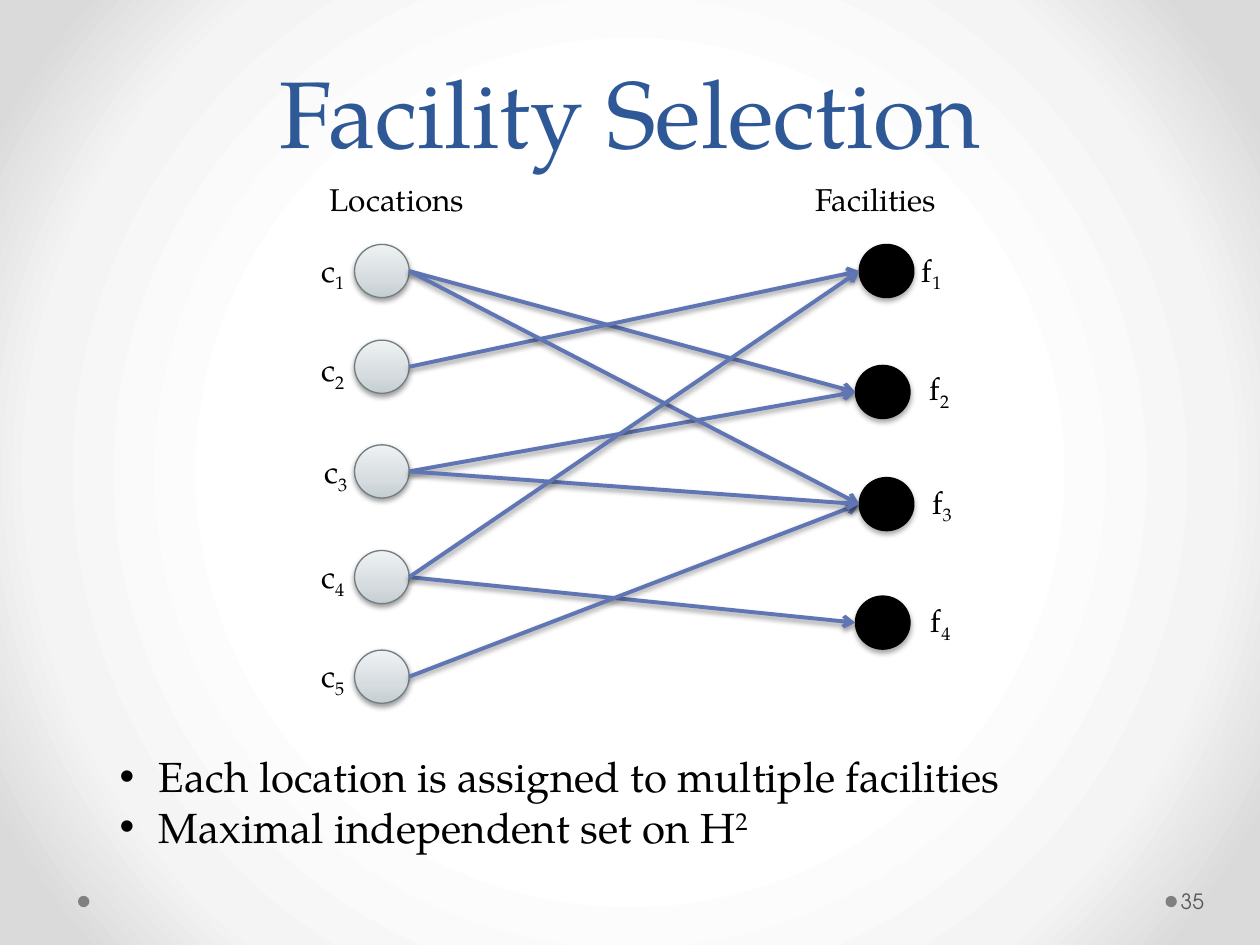
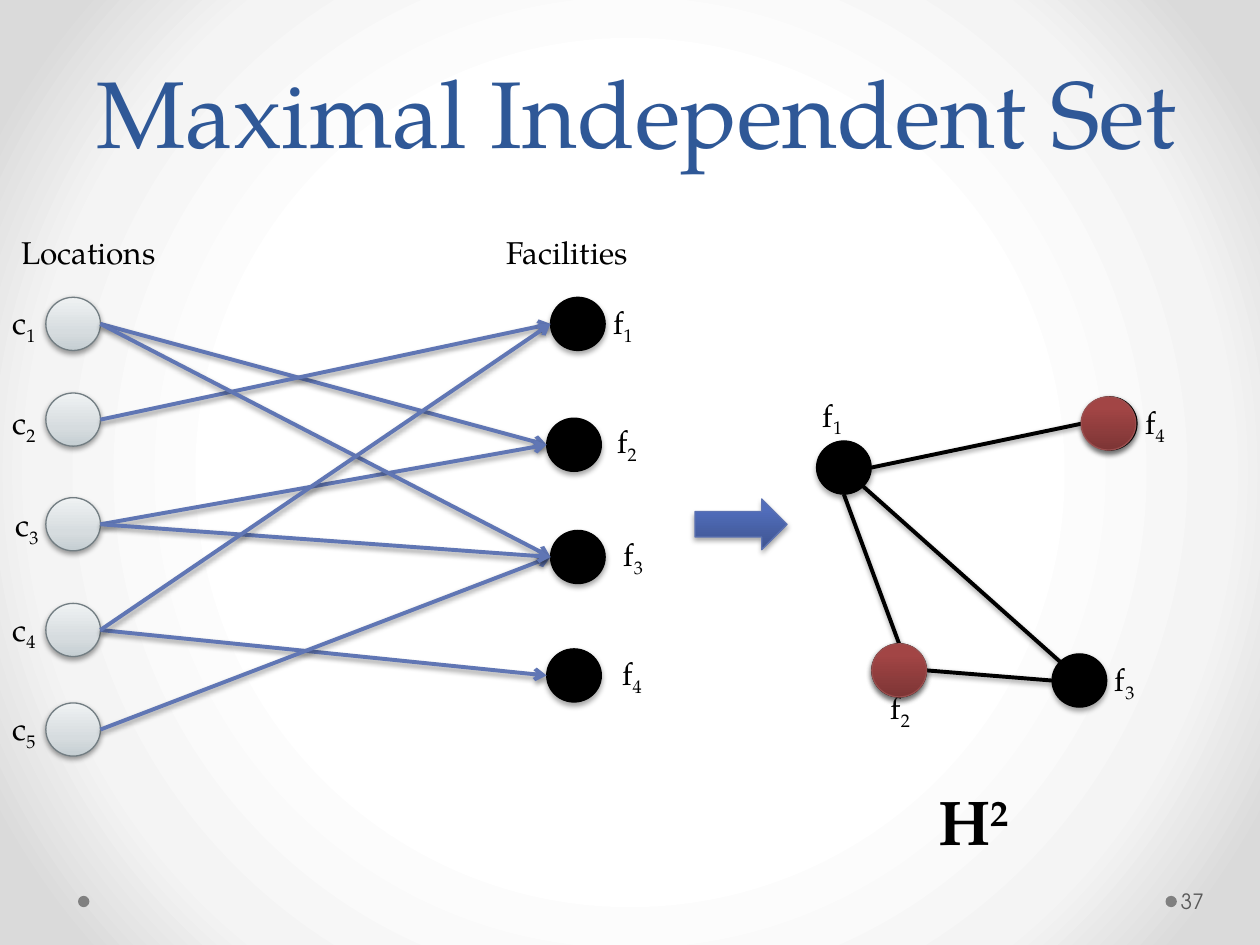
from lxml import etree
from pptx import Presentation
from pptx.dml.color import RGBColor
from pptx.enum.shapes import MSO_CONNECTOR, MSO_SHAPE
from pptx.enum.text import MSO_ANCHOR, PP_ALIGN
from pptx.oxml.ns import qn
from pptx.util import Pt

OVAL, RIGHT_ARROW = MSO_SHAPE.OVAL, MSO_SHAPE.RIGHT_ARROW
STRAIGHT = MSO_CONNECTOR.STRAIGHT
TOP, MIDDLE, BOTTOM = MSO_ANCHOR.TOP, MSO_ANCHOR.MIDDLE, MSO_ANCHOR.BOTTOM
LEFT_ALIGN, CENTER = PP_ALIGN.LEFT, PP_ALIGN.CENTER

SERIF, SANS = "TeX Gyre Pagella", "TeX Gyre Adventor"
COLORS = {"title": "2F5897", "ink": "000000", "page": "595959", "dot": "808080",
          "assignment": "6076B4", "location_line": "727D82",
          "chosen_line": "9A4E4E", "arrow_line": "5C72B2"}
GRADIENTS = {
    "backdrop": [(50, "FFFFFF"), (76, "F4F4F4"), (92, "DADADA")],
    "location": [(0, "C5CED2"), (35, "D6DCDF"), (100, "EFF2F3")],
    "chosen": [(0, "7D3535"), (80, "A24545"), (100, "A44343")],
    "arrow": [(0, "3E5490"), (80, "516DBB"), (100, "4F6CBE")],
}
SOFT_SHADOW, DEEP_SHADOW = (38, 1.6), (35, 1.8)

NODE_W, NODE_H = 31.2, 30.4
LABEL_W, LABEL_H = 38.9, 28.8
SUB, SUPER = -25, 30
SIDES = {"top": (0.5, 0), "left": (0, 0.5), "bottom": (0.5, 1), "right": (1, 0.5),
         "upper left": (0.146, 0.146), "lower right": (0.854, 0.854)}

HEADINGS = [("Locations", 181.4, 99.4), ("Facilities", 458.8, 99.4)]
LOCATIONS = {"c1": (202.6, 139.7), "c2": (202.6, 194.4), "c3": (202.6, 254.2),
             "c4": (202.6, 314.6), "c5": (202.6, 371.5)}
FACILITIES = {"f1": (491, 139.7), "f2": (488.8, 208.8), "f3": (491, 272.9),
              "f4": (488.8, 340.6)}
LABELS = {"c1": (176.4, 139.7), "c2": (176.4, 196.6), "c3": (178.2, 254.9),
          "c4": (176.4, 314.6), "c5": (176.4, 371.5),
          "f1": (519.8, 139.7), "f2": (524.2, 207.4), "f3": (525.6, 272.2),
          "f4": (524.9, 339.8)}
ASSIGNMENTS = [("c1", "f2"), ("c3", "f2"), ("c4", "f4"), ("c2", "f1"),
               ("c5", "f3"), ("c1", "f3"), ("c3", "f3"), ("c4", "f1")]

TAKEAWAYS = [[("Each location is assigned to multiple facilities", 0)],
             [("Maximal independent set on H", 0), ("2", SUPER)]]

SQUARE_GRAPH = {"f1": (466.6, 252), "f2": (498.2, 367.9), "f3": (601.2, 373.7),
                "f4": (618.5, 226.8)}
SQUARE_LABELS = {"f1": (463, 222.5), "f2": (501.8, 389.5), "f3": (630, 373.7),
                 "f4": (647.3, 226.8)}
SQUARE_EDGES = [("f1", "right", "f4", "left"), ("f1", "lower right", "f3", "upper left"),
                ("f1", "bottom", "f2", "top"), ("f2", "right", "f3", "left")]
INDEPENDENT_SET = [(617.8, 226.8), (498.2, 367.9)]


def rgb(name):
    return RGBColor.from_string(COLORS[name])


def child(parent, tag, **attributes):
    node = etree.SubElement(parent, qn(tag))
    for key, value in attributes.items():
        node.set(key, str(value))
    return node


def blend(owner, fill, name, radial=False):
    fill.gradient()
    gradient = owner.element.find(".//" + qn("a:gradFill"))
    gradient.clear()
    stops = child(gradient, "a:gsLst")
    for position, color in GRADIENTS[name]:
        child(child(stops, "a:gs", pos=position * 1000), "a:srgbClr", val=color)
    if radial:
        circle = child(gradient, "a:path", path="circle")
        child(circle, "a:fillToRect", l=50000, t=50000, r=50000, b=50000)
    else:
        child(gradient, "a:lin", ang=270 * 60000, scaled=0)


def cast_shadow(effects, shadow):
    opacity, distance = shadow
    outer = child(effects, "a:outerShdw", blurRad=Pt(3.1), dist=Pt(distance),
                  dir=90 * 60000, rotWithShape=0)
    child(child(outer, "a:srgbClr", val="000000"), "a:alpha", val=opacity * 1000)


def add_figure(slide, kind, box, fill, line=None, shadow=None):
    figure = slide.shapes.add_shape(kind, *map(Pt, box))
    if fill in GRADIENTS:
        blend(figure, figure.fill, fill)
    else:
        figure.fill.solid()
        figure.fill.fore_color.rgb = rgb(fill)
    if line:
        figure.line.color.rgb = rgb(line)
        figure.line.width = Pt(0.75)
    else:
        figure.line.fill.background()
    figure.shadow.inherit = False
    if shadow:
        cast_shadow(figure.element.spPr.find(qn("a:effectLst")), shadow)


def add_node(slide, spot, fill, line, shadow=DEEP_SHADOW):
    add_figure(slide, OVAL, (*spot, NODE_W, NODE_H), fill, line, shadow)


def add_edge(slide, start, end, color, arrow=False):
    edge = slide.shapes.add_connector(STRAIGHT, *map(Pt, (*start, *end)))
    edge.line.color.rgb = rgb(color)
    edge.line.width = Pt(2.25)
    outline = edge.element.spPr
    if arrow:
        child(outline.find(qn("a:ln")), "a:tailEnd", type="arrow")
    cast_shadow(child(outline, "a:effectLst"), SOFT_SHADOW)


def add_text(slide, box, paragraphs, size=18, color="ink", font=SERIF, bold=False,
             align=LEFT_ALIGN, anchor=TOP, leading=None, bullet=False, inset=7.2):
    frame = slide.shapes.add_textbox(*map(Pt, box)).text_frame
    frame.word_wrap = True
    frame.vertical_anchor = anchor
    frame.margin_left = Pt(inset)
    for index, runs in enumerate(paragraphs):
        paragraph = frame.add_paragraph() if index else frame.paragraphs[0]
        paragraph.alignment = align
        if leading:
            paragraph.line_spacing = Pt(leading)
        if bullet:
            properties = paragraph._p.get_or_add_pPr()
            properties.set("marL", str(Pt(22.5)))
            properties.set("indent", str(Pt(-22.5)))
            child(properties, "a:buFont", typeface="Arial")
            child(properties, "a:buChar", char="•")
        for text, baseline in runs:
            run = paragraph.add_run()
            run.text = text
            run.font.name, run.font.size, run.font.bold = font, Pt(size), bold
            run.font.color.rgb = rgb(color)
            if baseline:
                run._r.get_or_add_rPr().set("baseline", str(baseline * 1000))


def add_label(slide, name, spot):
    add_text(slide, (*spot, LABEL_W, LABEL_H), [[(name[0], 0), (name[1], SUB)]])


def side_point(spot, side):
    across, down = SIDES[side]
    return spot[0] + across * NODE_W, spot[1] + down * NODE_H


def start_slide(deck, title, page, title_left):
    slide = deck.slides.add_slide(deck.slide_layouts[6])
    for dot_left in (666, 44.6):
        add_figure(slide, OVAL, (dot_left, 511.9, 6.5, 6.5), "dot")
    add_text(slide, (title_left, 9.4, 648, 90), [[(title, 0)]], size=54, color="title",
             align=CENTER, anchor=BOTTOM, leading=58)
    add_text(slide, (672.5, 500.4, 43.9, 28.8), [[(page, 0)]], size=12, color="page",
             font=SANS, anchor=MIDDLE, inset=2.2)
    return slide


def add_assignment_graph(slide, dx=0, dy=0, moved_labels=None):
    def moved(spot):
        return spot[0] + dx, spot[1] + dy

    for heading, left, top in HEADINGS:
        add_text(slide, (*moved((left, top)), 105, 28.8), [[(heading, 0)]])
    for spot in LOCATIONS.values():
        add_node(slide, moved(spot), "location", "location_line", SOFT_SHADOW)
    for spot in FACILITIES.values():
        add_node(slide, moved(spot), "ink", "ink")
    for location, facility in ASSIGNMENTS:
        add_edge(slide, side_point(moved(LOCATIONS[location]), "right"),
                 side_point(moved(FACILITIES[facility]), "left"), "assignment", arrow=True)
    for name, spot in {**LABELS, **(moved_labels or {})}.items():
        add_label(slide, name, moved(spot))


def add_square_graph(slide):
    for name, spot in SQUARE_GRAPH.items():
        add_node(slide, spot, "ink", "ink")
        add_label(slide, name, SQUARE_LABELS[name])
    for first, first_side, second, second_side in SQUARE_EDGES:
        add_edge(slide, side_point(SQUARE_GRAPH[first], first_side),
                 side_point(SQUARE_GRAPH[second], second_side), "ink")
    for spot in INDEPENDENT_SET:
        add_node(slide, spot, "chosen", "chosen_line")
    add_text(slide, (529.2, 443.5, 118, 51), [[("H", 0), ("2", SUPER)]], size=36, bold=True)


def main():
    deck = Presentation()
    deck.slide_width, deck.slide_height = Pt(720), Pt(540)
    master = deck.slide_master
    blend(master, master.background.fill, "backdrop", radial=True)

    selection = start_slide(deck, "Facility Selection", "35", 36)
    add_assignment_graph(selection)
    add_text(selection, (61.2, 425.5, 569.5, 65.5), TAKEAWAYS, size=24, bullet=True)

    independent = start_slide(deck, "Maximal Independent Set", "37", 39.6)
    add_assignment_graph(independent, -176.4, 30.2, {"f2": (522, 207.4)})
    add_figure(independent, RIGHT_ARROW, (397.2, 285.1, 52.6, 29), "arrow", "arrow_line",
               DEEP_SHADOW)
    add_square_graph(independent)

    deck.save("out.pptx")


if __name__ == "__main__":
    main()
